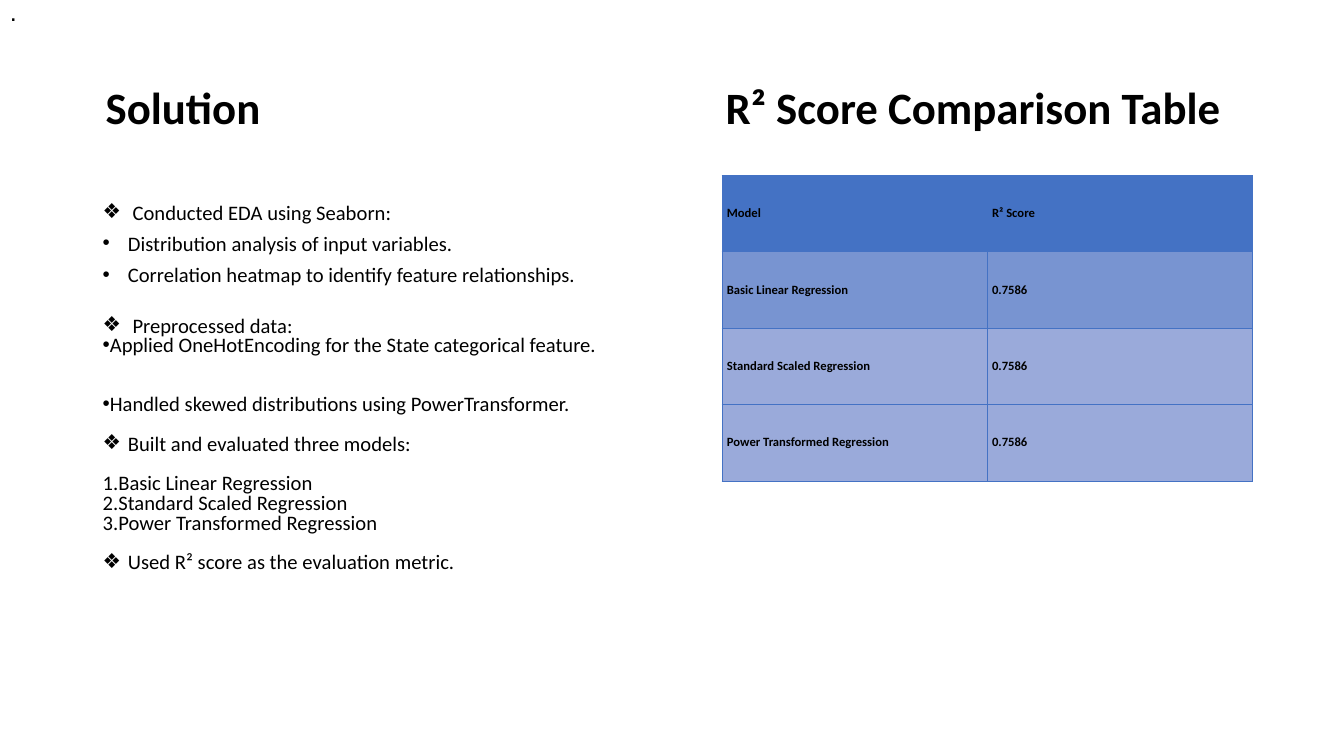
from lxml.etree import SubElement
from pptx import Presentation
from pptx.dml.color import RGBColor
from pptx.enum.text import MSO_ANCHOR
from pptx.oxml import parse_xml
from pptx.oxml.ns import nsdecls, qn
from pptx.util import Inches, Pt

THEME = {
    "text": "000000",
    "header": "4472C4",
    "first_row": "7894D1",
    "row": "9AAADA",
    "border": "4472C4",
    "font": "Calibri",
    "mark_font": "Arial",
    "title_size": 32,
    "body_size": 14.7,
    "cell_size": 9,
    "mark_size": 18,
}


def write(para, text, size, font=THEME["font"], bold=False, line=1.0, before=0, bullet=None, indent=0):
    para.line_spacing = line
    para.space_before = Pt(before)
    span = para.add_run()
    span.text = text
    span.font.name = font
    span.font.size = Pt(size)
    span.font.bold = bold
    span.font.color.rgb = RGBColor.from_string(THEME["text"])
    if bullet:
        properties = para._p.get_or_add_pPr()
        properties.set("marL", str(Inches(indent)))
        properties.set("indent", str(-Inches(indent)))
        if bullet == "number":
            SubElement(properties, qn("a:buAutoNum"), type="arabicPeriod")
        else:
            SubElement(properties, qn("a:buFont"), typeface=THEME["mark_font"])
            SubElement(properties, qn("a:buChar"), char=bullet)


def add_box(left, top, width, height, anchor=MSO_ANCHOR.MIDDLE):
    box = page.shapes.add_textbox(Inches(left), Inches(top), Inches(width), Inches(height))
    box.text_frame.word_wrap = True
    box.text_frame.vertical_anchor = anchor
    return box.text_frame


deck = Presentation()
deck.slide_width = Inches(13.33)
deck.slide_height = Inches(7.5)
page = deck.slides.add_slide(deck.slide_layouts[6])

for title, left, width in [("Solution", 0.95, 5.67), ("R² Score Comparison Table", 7.1, 5.6)]:
    frame = add_box(left, 0.37, width, 1.45)
    write(frame.paragraphs[0], title, THEME["title_size"], bold=True, line=0.9)

solution_lines = [
    (" Conducted EDA using Seaborn:", "❖", 0.25, 0.7, 10),
    ("Distribution analysis of input variables.", "•", 0.25, 0.7, 10),
    ("Correlation heatmap to identify feature relationships.", "•", 0.25, 0.7, 10),
    (" Preprocessed data:", "❖", 0.25, 0.8, 22),
    ("Applied OneHotEncoding for the State categorical feature.", "•", 0, 0.8, 0),
    ("Handled skewed distributions using PowerTransformer.", "•", 0, 0.8, 28),
    ("Built and evaluated three models:", "❖", 0.25, 0.8, 14),
    ("Basic Linear Regression", "number", 0, 0.8, 14),
    ("Standard Scaled Regression", "number", 0, 0.8, 0),
    ("Power Transformed Regression", "number", 0, 0.8, 0),
    ("Used R² score as the evaluation metric.", "❖", 0.25, 0.8, 14),
]
body = add_box(0.92, 2, 5.67, 4.76, MSO_ANCHOR.TOP)
for index, (text, bullet, indent, line, before) in enumerate(solution_lines):
    para = body.add_paragraph() if index else body.paragraphs[0]
    write(para, text, THEME["body_size"], line=line, before=before, bullet=bullet, indent=indent)

scores = [
    ("Model", "R² Score"),
    ("Basic Linear Regression", "0.7586"),
    ("Standard Scaled Regression", "0.7586"),
    ("Power Transformed Regression", "0.7586"),
]
row_fills = [THEME["header"], THEME["first_row"], THEME["row"], THEME["row"]]
table = page.shapes.add_table(4, 2, Inches(7.16), Inches(1.74), Inches(5.26), Inches(3.03)).table
for row_index, (row, row_fill) in enumerate(zip(scores, row_fills)):
    for column_index, text in enumerate(row):
        cell = table.cell(row_index, column_index)
        cell.vertical_anchor = MSO_ANCHOR.MIDDLE
        cell.margin_left = cell.margin_right = Inches(0.05)
        cell.margin_top = cell.margin_bottom = Inches(0.02)
        cell.fill.solid()
        cell.fill.fore_color.rgb = RGBColor.from_string(row_fill)
        write(cell.text_frame.paragraphs[0], text, THEME["cell_size"], bold=True)
        for position, side in enumerate(["lnL", "lnR", "lnT", "lnB"]):
            border = parse_xml(
                f'<a:{side} {nsdecls("a")} w="{Pt(0.5)}"><a:solidFill>'
                f'<a:srgbClr val="{THEME["border"]}"/></a:solidFill></a:{side}>'
            )
            cell._tc.get_or_add_tcPr().insert(position, border)

mark = add_box(0, -0.1, 0.27, 0.43)
write(mark.paragraphs[0], ".", THEME["mark_size"], font=THEME["mark_font"])

deck.save("out.pptx")
